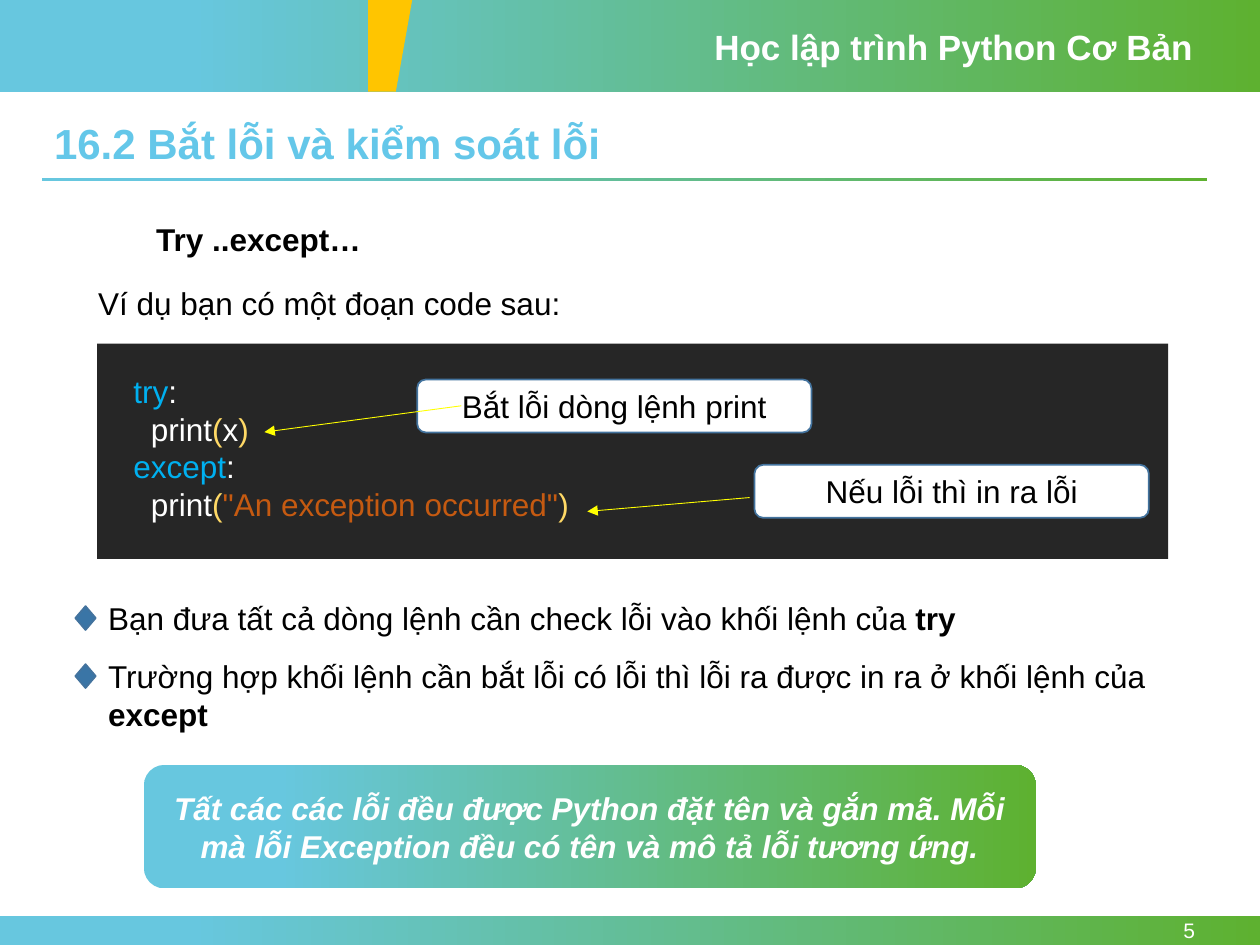
from dataclasses import dataclass

from lxml import etree
from pptx import Presentation
from pptx.dml.color import RGBColor
from pptx.enum.shapes import MSO_CONNECTOR, MSO_SHAPE
from pptx.enum.text import MSO_ANCHOR, MSO_AUTO_SIZE, PP_ALIGN
from pptx.oxml.ns import qn
from pptx.util import Cm, Pt

RECTANGLE = MSO_SHAPE.RECTANGLE
ROUNDED = MSO_SHAPE.ROUNDED_RECTANGLE
DIAMOND = MSO_SHAPE.FLOWCHART_DECISION
STRAIGHT = MSO_CONNECTOR.STRAIGHT
LEFT, CENTER, RIGHT = PP_ALIGN.LEFT, PP_ALIGN.CENTER, PP_ALIGN.RIGHT
TOP, MIDDLE = MSO_ANCHOR.TOP, MSO_ANCHOR.MIDDLE
FIT_SHAPE, NO_FIT = MSO_AUTO_SIZE.SHAPE_TO_FIT_TEXT, MSO_AUTO_SIZE.NONE

WHITE = RGBColor(0xFF, 0xFF, 0xFF)
BLACK = RGBColor(0x00, 0x00, 0x00)
SKY = RGBColor(0x67, 0xC7, 0xDF)
GREEN = RGBColor(0x5E, 0xB1, 0x30)
AMBER = RGBColor(0xFF, 0xC5, 0x00)
TITLE_BLUE = RGBColor(0x64, 0xC7, 0xE9)
CODE_BACKGROUND = RGBColor(0x26, 0x26, 0x26)
KEYWORD = RGBColor(0x00, 0xB0, 0xF0)
BRACKET = RGBColor(0xFF, 0xD9, 0x66)
STRING = RGBColor(0xC5, 0x5A, 0x11)
ARROW = RGBColor(0xFF, 0xFF, 0x00)
BULLET = RGBColor(0x3A, 0x75, 0xA6)
OUTLINE = RGBColor(0x43, 0x73, 0x9E)


@dataclass(frozen=True)
class Box:
    left: float
    top: float
    width: float
    height: float

    def lengths(self):
        return Cm(self.left), Cm(self.top), Cm(self.width), Cm(self.height)


@dataclass(frozen=True)
class Run:
    text: str
    color: RGBColor = BLACK
    size: int = 18
    bold: bool = False
    italic: bool = False


@dataclass(frozen=True)
class Callout:
    text: str
    left: float
    top: float
    arrow_start: tuple[float, float]
    arrow_end: tuple[float, float]


@dataclass(frozen=True)
class BulletPoint:
    text: str
    keyword: str
    top: float
    height: float


CODE_LINES = [
    [Run("try", KEYWORD), Run(":", WHITE)],
    [Run("  print", WHITE), Run("(", BRACKET), Run("x", WHITE), Run(")", BRACKET)],
    [Run("except", KEYWORD), Run(":", WHITE)],
    [Run("  print", WHITE), Run("(", BRACKET),
     Run('"An exception occurred"', STRING), Run(")", BRACKET)],
]
CALLOUTS = [
    Callout("Bắt lỗi dòng lệnh print", 8.41, 7.65, (9.3, 8.18), (5.33, 8.71)),
    Callout("Nếu lỗi thì in ra lỗi", 15.21, 9.37, (15.11, 10.03), (11.84, 10.31)),
]
BULLET_POINTS = [
    BulletPoint("Bạn đưa tất cả dòng lệnh cần check lỗi vào khối lệnh của ",
                "try", 11.96, 1.02),
    BulletPoint("Trường hợp khối lệnh cần bắt lỗi có lỗi thì lỗi ra được in ra "
                "ở khối lệnh của ", "except", 13.13, 1.8),
]


def write_lines(shape, lines: list[list[Run]], align=LEFT, anchor=TOP) -> None:
    frame = shape.text_frame
    frame.word_wrap = True
    frame.vertical_anchor = anchor
    for index, runs in enumerate(lines):
        paragraph = frame.paragraphs[0] if index == 0 else frame.add_paragraph()
        paragraph.alignment = align
        for item in runs:
            run = paragraph.add_run()
            run.text = item.text
            formats = {"name": "Arial", "size": Pt(item.size),
                       "bold": item.bold, "italic": item.italic}
            for attribute, value in formats.items():
                setattr(run.font, attribute, value)
            run.font.color.rgb = item.color


def add_text(slide, box: Box, lines: list[list[Run]], align=LEFT, anchor=TOP,
             fit=FIT_SHAPE):
    shape = slide.shapes.add_textbox(*box.lengths())
    write_lines(shape, lines, align, anchor)
    shape.text_frame.auto_size = fit
    return shape


def paint(shape, fill: RGBColor, outline: RGBColor | None = None) -> None:
    shape.shadow.inherit = False
    shape.fill.solid()
    shape.fill.fore_color.rgb = fill
    if outline is None:
        shape.line.fill.background()
    else:
        shape.line.color.rgb = outline
        shape.line.width = Pt(1)


def add_solid(slide, kind, box: Box, fill: RGBColor,
              outline: RGBColor | None = None):
    shape = slide.shapes.add_shape(kind, *box.lengths())
    paint(shape, fill, outline)
    return shape


def add_gradient(slide, kind, box: Box):
    """Add a shape that runs from sky blue on the left to green on the right."""
    shape = slide.shapes.add_shape(kind, *box.lengths())
    shape.shadow.inherit = False
    shape.line.fill.background()
    shape.fill.gradient()
    shape.fill.gradient_angle = 0
    stops = zip(shape.fill.gradient_stops, ((0.15, SKY), (1, GREEN)))
    for stop, (position, color) in stops:
        stop.position = position
        stop.color.rgb = color
    return shape


def add_arrow(slide, start: tuple[float, float], end: tuple[float, float]) -> None:
    points = [Cm(value) for value in (*start, *end)]
    connector = slide.shapes.add_connector(STRAIGHT, *points)
    connector.line.color.rgb = ARROW
    connector.line.width = Pt(0.5)
    line = connector.line._get_or_add_ln()
    etree.SubElement(line, qn("a:tailEnd"), type="triangle")
    etree.SubElement(connector._element.spPr, qn("a:effectLst"))


def add_frame(slide) -> None:
    """Add the header, the title rule and the footer."""
    for box in (Box(0, 0, 25.4, 1.85), Box(0, 18.47, 25.4, 0.58),
                Box(0.84, 3.58, 23.5, 0.08)):
        add_gradient(slide, RECTANGLE, box)
    add_text(slide, Box(14.15, 0.38, 10.16, 1.12),
             [[Run("Học lập trình Python Cơ Bản", WHITE, 20, bold=True)]])
    builder = slide.shapes.build_freeform(Cm(7.42), 0)
    corners = ((8.31, 0), (7.98, 1.85), (7.42, 1.85))
    builder.add_line_segments([(Cm(x), Cm(y)) for x, y in corners], close=True)
    paint(builder.convert_to_shape(), AMBER)
    add_text(slide, Box(22, 18.47, 2.34, 0.58), [[Run("5", WHITE, 12)]],
             RIGHT, MIDDLE, NO_FIT)


def main() -> None:
    presentation = Presentation()
    presentation.slide_width, presentation.slide_height = Cm(25.4), Cm(19.05)
    slide = presentation.slides.add_slide(presentation.slide_layouts[6])

    add_frame(slide)
    title = add_text(slide, Box(0.84, 2.36, 23.5, 1.17),
                     [[Run("16.2 Bắt lỗi và kiểm soát lỗi", TITLE_BLUE, 24, bold=True)]])
    title.text_frame.paragraphs[0].line_spacing = 0.9
    add_text(slide, Box(2.9, 4.32, 17.86, 1.02), [[Run("Try ..except…", bold=True)]])
    add_text(slide, Box(1.73, 5.61, 21.77, 1.02),
             [[Run("Ví dụ bạn có một đoạn code sau:")]])

    add_solid(slide, RECTANGLE, Box(1.96, 6.93, 21.59, 4.34), CODE_BACKGROUND)
    add_text(slide, Box(2.44, 7.37, 20.57, 3.33), CODE_LINES)
    for callout in CALLOUTS:
        label = add_solid(slide, ROUNDED, Box(callout.left, callout.top, 7.95, 1.07),
                          WHITE, OUTLINE)
        write_lines(label, [[Run(callout.text)]], CENTER, MIDDLE)
        add_arrow(slide, callout.arrow_start, callout.arrow_end)

    for point in BULLET_POINTS:
        add_text(slide, Box(1.93, point.top, 22.28, point.height),
                 [[Run(point.text), Run(point.keyword, bold=True)]])
        add_solid(slide, DIAMOND, Box(1.52, point.top + 0.26, 0.41, 0.48),
                  BULLET, OUTLINE)

    summary = add_gradient(slide, ROUNDED, Box(2.9, 15.42, 17.98, 2.49))
    write_lines(summary, [[Run("Tất các các lỗi đều được Python đặt tên và gắn mã. "
                               "Mỗi mà lỗi Exception đều có tên và mô tả lỗi tương ứng.",
                               WHITE, bold=True, italic=True)]], CENTER, MIDDLE)
    presentation.save("out.pptx")


if __name__ == "__main__":
    main()
